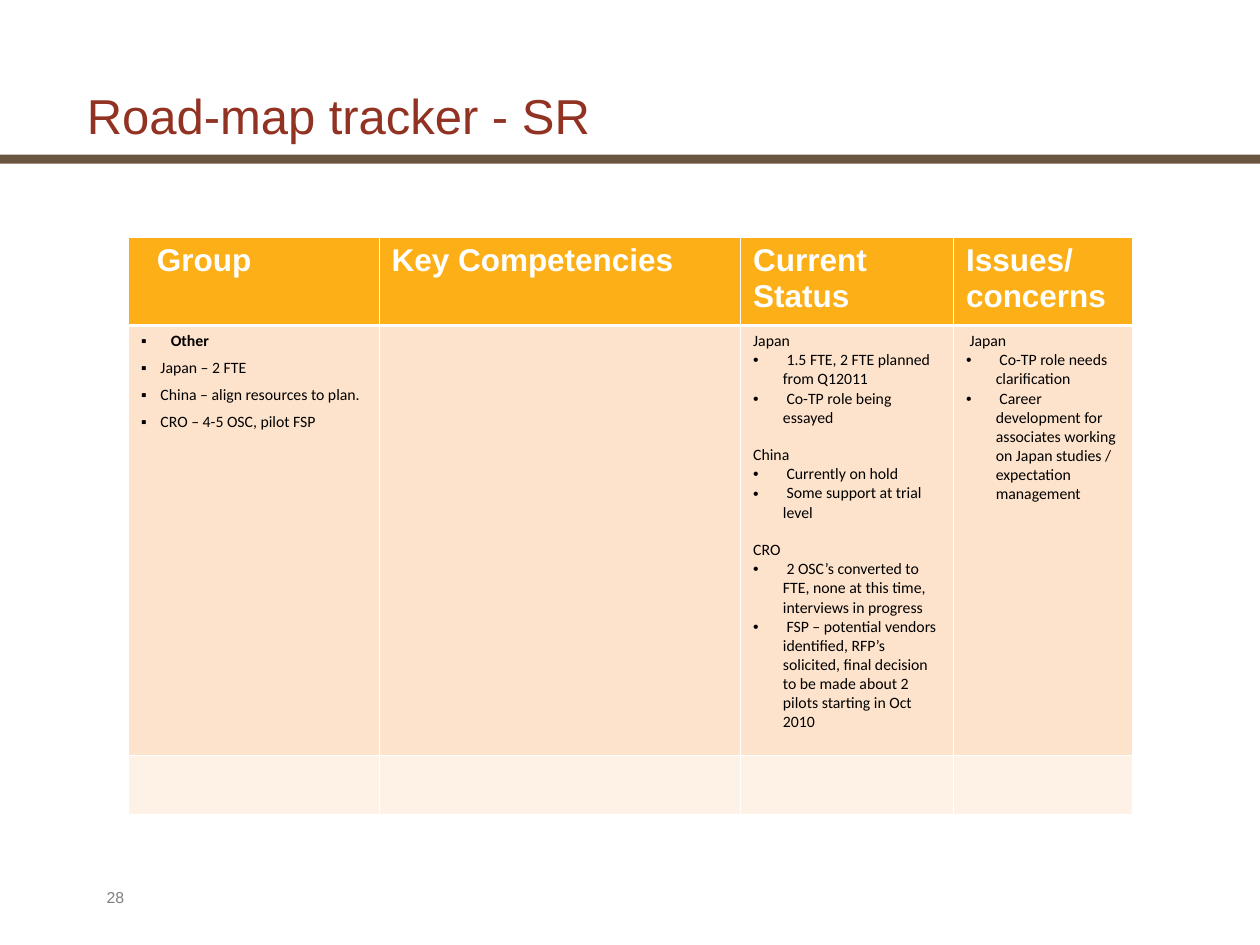
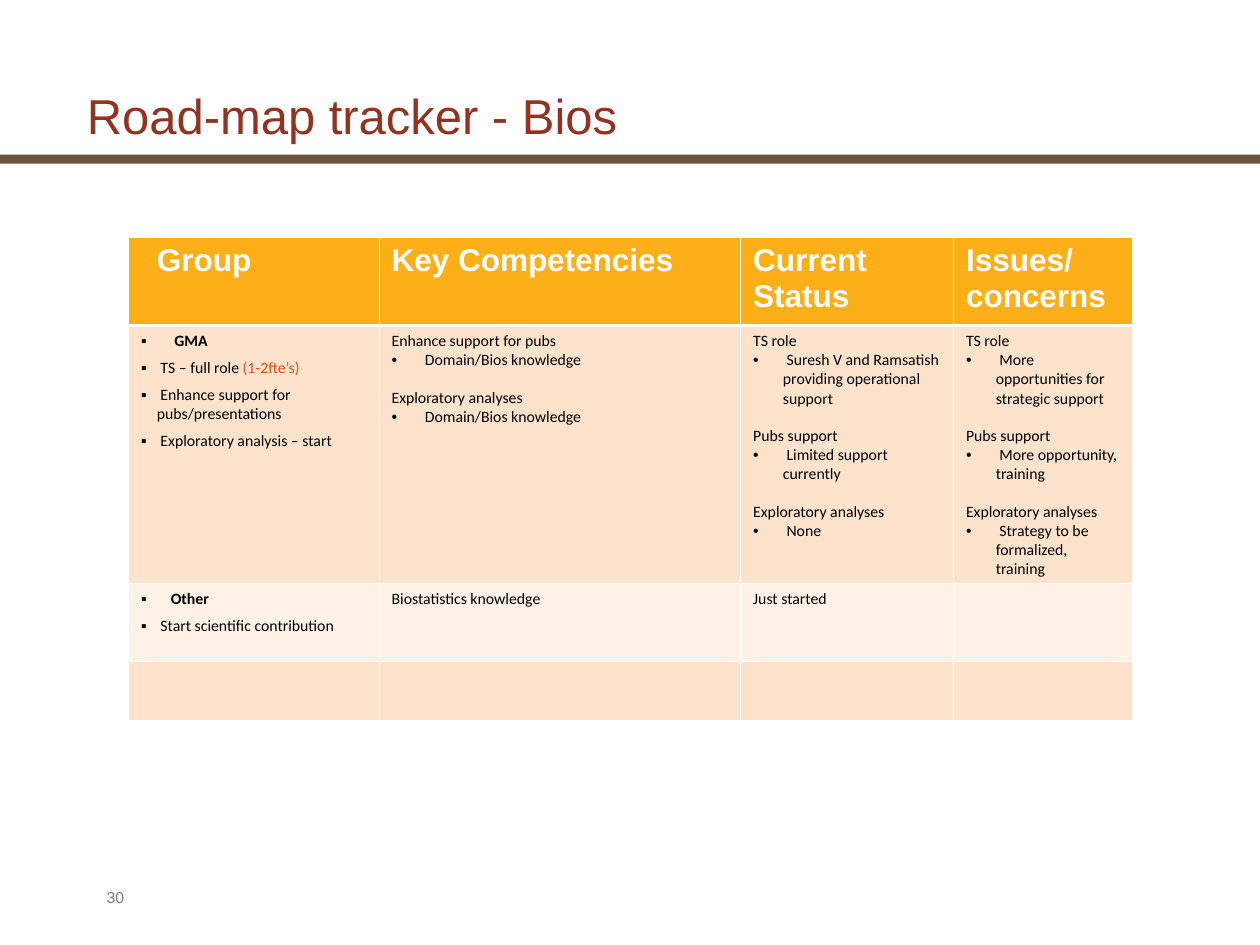
"""Build the road-map tracker slides."""
from lxml import etree
from pptx import Presentation
from pptx.dml.color import RGBColor
from pptx.enum import shapes, text
from pptx.oxml.ns import qn
from pptx.util import Cm, Pt

MAROON = RGBColor(0x92, 0x32, 0x22)
BROWN = RGBColor(0x6A, 0x55, 0x40)
AMBER = RGBColor(0xFC, 0xAF, 0x17)
PEACH = RGBColor(0xFE, 0xE3, 0xCC)
CREAM = RGBColor(0xFE, 0xF2, 0xE7)
ORANGE = RGBColor(0xE4, 0x4C, 0x16)
GREY = RGBColor(0x7F, 0x7F, 0x7F)
BLACK = RGBColor(0, 0, 0)
WHITE = RGBColor(0xFF, 0xFF, 0xFF)

HEADERS = ["Group", "Key Competencies", "Current Status", "Issues/concerns"]
COLUMN_WIDTHS = [5.05, 7.29, 4.29, 3.61]
HEADER_HEIGHT = 1.77
THIN, THICK = 0.45, 1.47
GROUP_INDENT, BULLET_INDENT = 0.32, 0.6
TOPIC_GAP = 10.5

# Each row: height, group lines, then topics (heading, *bullets) for every other column.
SLIDES = [
    {
        "title": "Road-map tracker - SR",
        "page": "28",
        "rows": [
            (8.66,
             ["Other", " Japan – 2 FTE", " China – align resources to plan.",
              " CRO – 4-5 OSC, pilot FSP"],
             [],
             [("Japan", " 1.5 FTE, 2 FTE planned from Q12011", " Co-TP role being essayed"),
              ("China", " Currently on hold", " Some support at trial level"),
              ("CRO",
               " 2 OSC’s converted to FTE, none at this time, interviews in progress",
               " FSP – potential vendors identified, RFP’s solicited, final decision "
               "to be made about 2 pilots starting in Oct 2010")],
             [(" Japan", " Co-TP role needs clarification",
               " Career development for associates working on Japan studies / "
               "expectation management")]),
            (1.19, [], [], [], []),
        ],
    },
    {
        "title": "Road-map tracker - Bios",
        "page": "30",
        "rows": [
            (5.2,
             [" GMA", (" TS – full role ", "(1-2fte’s)"),
              " Enhance support for pubs/presentations", " Exploratory analysis – start"],
             [("Enhance support for pubs", " Domain/Bios knowledge"),
              ("Exploratory analyses", " Domain/Bios knowledge")],
             [("TS role", " Suresh V and Ramsatish providing operational support"),
              ("Pubs support", " Limited support currently"),
              ("Exploratory analyses", " None")],
             [("TS role", " More opportunities for strategic support"),
              ("Pubs support", " More opportunity, training"),
              ("Exploratory analyses", " Strategy to be formalized, training")]),
            (1.57, ["Other", " Start scientific contribution"],
             [("Biostatistics knowledge",)], [("Just started",)], []),
            (1.19, [], [], [], []),
        ],
    },
]


def style(p, size, font, color, bold=False):
    for r in p.runs:
        r.font.size = Pt(size)
        r.font.name = font
        r.font.color.rgb = color
        r.font.bold = bold


def indent(p, left, bullet=None):
    pPr = p._p.get_or_add_pPr()
    pPr.set("marL", str(Cm(left)))
    pPr.set("indent", str(-Cm(left) if bullet else 0))
    if bullet:
        etree.SubElement(pPr, qn("a:buFont")).set("typeface", "Arial")
        etree.SubElement(pPr, qn("a:buChar")).set("char", bullet)


def add_text(s, content, box, size, color, anchor):
    tf = s.shapes.add_textbox(*map(Cm, box)).text_frame
    tf.word_wrap = True
    tf.vertical_anchor = anchor
    tf.text = content
    style(tf.paragraphs[0], size, "Arial", color)
    return tf.paragraphs[0]


def format_cell(cell, fill, top, bottom):
    tcPr = cell._tc.get_or_add_tcPr()
    for side, width in zip("LRTB", (THIN, THIN, top, bottom)):
        ln = etree.SubElement(tcPr, qn(f"a:ln{side}"), w=str(Pt(width)))
        color = etree.SubElement(ln, qn("a:solidFill"))
        etree.SubElement(color, qn("a:srgbClr"), val=str(WHITE))
    cell.fill.solid()
    cell.fill.fore_color.rgb = fill


def next_paragraph(tf, index):
    return tf.add_paragraph() if index else tf.paragraphs[0]


def fill_group(tf, lines):
    for i, line in enumerate(lines):
        p = next_paragraph(tf, i)
        indent(p, GROUP_INDENT if i else BULLET_INDENT, "▪")
        p.space_after = Pt(4.5)
        parts = line if isinstance(line, tuple) else (line,)
        for part in parts:
            p.add_run().text = part
        style(p, 9, "Calibri", BLACK, bold=i == 0)
        for r in p.runs[1:]:
            r.font.color.rgb = ORANGE


def fill_topics(tf, topics):
    for i, topic in enumerate(topics):
        for j, line in enumerate(topic):
            p = next_paragraph(tf, i + j)
            p.text = line
            if j:
                indent(p, BULLET_INDENT, "•")
            elif i:
                p.space_before = Pt(TOPIC_GAP)
            style(p, 9, "Calibri", BLACK)


def add_tracker(s, rows):
    heights = [HEADER_HEIGHT] + [row[0] for row in rows]
    table = s.shapes.add_table(len(heights), len(HEADERS), Cm(2.59), Cm(4.78),
                               Cm(sum(COLUMN_WIDTHS)), Cm(sum(heights))).table
    table.first_row = table.horz_banding = False
    for column, width in zip(table.columns, COLUMN_WIDTHS):
        column.width = Cm(width)
    for row, height in zip(table.rows, heights):
        row.height = Cm(height)
    for c, header in enumerate(HEADERS):
        cell = table.cell(0, c)
        format_cell(cell, AMBER, THIN, THICK)
        p = cell.text_frame.paragraphs[0]
        p.text = header
        indent(p, 0 if c else GROUP_INDENT)
        style(p, 18, "Arial", WHITE, bold=True)
    for n, (_, *contents) in enumerate(rows, 1):
        for c, content in enumerate(contents):
            cell = table.cell(n, c)
            format_cell(cell, PEACH if n % 2 else CREAM, THICK if n == 1 else THIN, THIN)
            fill = fill_topics if c else fill_group
            fill(cell.text_frame, content)


def add_slide(prs, title, page, rows):
    s = prs.slides.add_slide(prs.slide_layouts[6])
    band = s.shapes.add_shape(shapes.MSO_SHAPE.RECTANGLE, 0, Cm(3.12), prs.slide_width, Cm(0.18))
    band.shadow.inherit = False
    band.fill.solid()
    band.fill.fore_color.rgb = BROWN
    band.line.fill.background()
    p = add_text(s, title, (1.5, 1.7, 23.04, 1.37), 28, MAROON, text.MSO_ANCHOR.BOTTOM)
    p.line_spacing = 0.95
    add_tracker(s, rows)
    add_text(s, page, (1.9, 17.78, 17.98, 0.69), 9, GREY, text.MSO_ANCHOR.TOP)


def main():
    prs = Presentation()
    prs.slide_width, prs.slide_height = Cm(25.4), Cm(19.05)
    for slide in SLIDES:
        add_slide(prs, **slide)
    prs.save("out.pptx")


if __name__ == "__main__":
    main()
